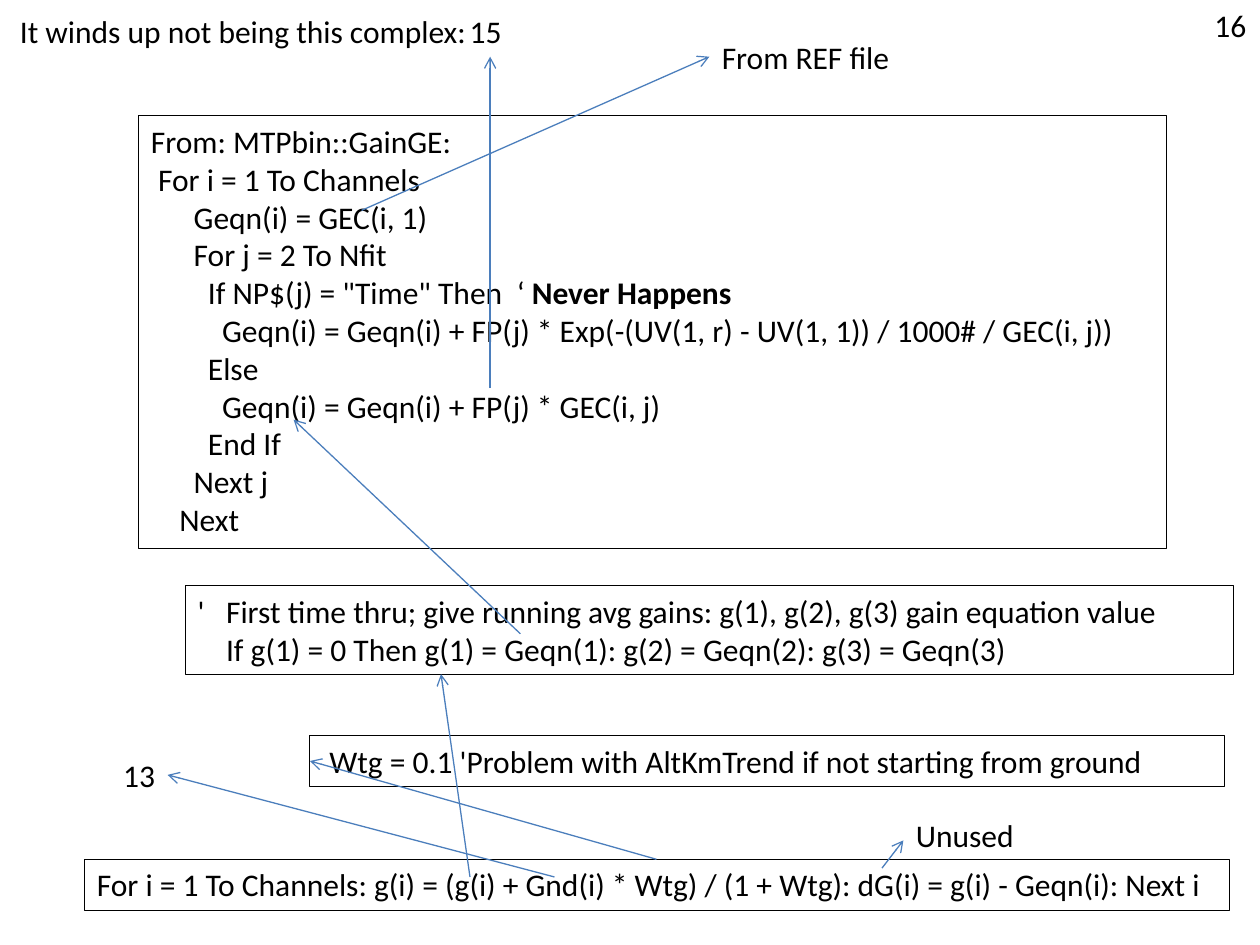
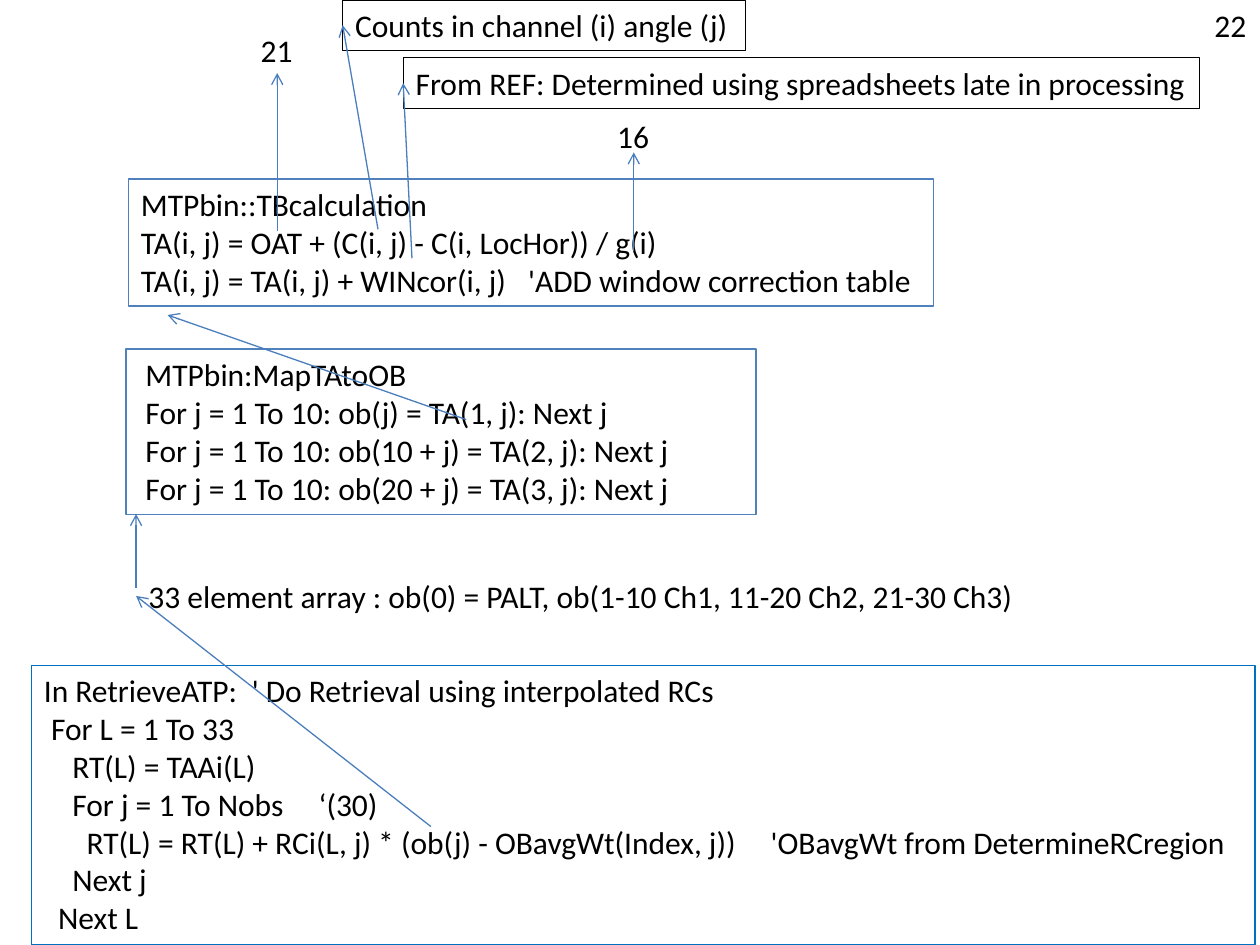
import pptx
import pptx.dml.color
import pptx.enum.shapes
import pptx.enum.text
import pptx.oxml
import pptx.oxml.ns
import pptx.util
import lxml.etree

FONT = "Calibri"
TEXT = "000000"
ARROW = "4B7EBC"
BLUE = "4F81BD"
BRIGHT = "0070C0"
BOLD_PIECES = {"Never Happens"}

presentation = pptx.Presentation()
presentation.slide_width = pptx.util.Inches(10)
presentation.slide_height = pptx.util.Inches(7.5)
COLUMN = presentation.slide_width / 10
ROW = presentation.slide_height / 7.5
LINE_ROWS = 0.303
PADDING_ROWS = 0.1
CHARACTER = 0.0565 * COLUMN


def color(value):
    return pptx.dml.color.RGBColor.from_string(value)


def child(parent, tag, **attributes):
    element = lxml.etree.SubElement(parent, pptx.oxml.ns.qn(tag))
    for name, value in attributes.items():
        element.set(name, str(value))
    return element


# Each line lists (start in characters, text) pieces.
gain_code = [
    [(0, "From: MTPbin::GainGE:")],
    [(1, "For i = 1 To Channels")],
    [(6, "Geqn(i) = GEC(i, 1)")],
    [(6, "For j = 2 To Nfit")],
    [(8, 'If NP$(j) = "Time" Then'), (51.4, "\u2018"), (53.5, "Never Happens")],
    [(10, "Geqn(i) = Geqn(i) + FP(j) * Exp(-(UV(1, r) - UV(1, 1)) / 1000# / GEC(i, j))")],
    [(8, "Else")],
    [(10, "Geqn(i) = Geqn(i) + FP(j) * GEC(i, j)")],
    [(8, "End If")],
    [(6, "Next j")],
    [(4, "Next")],
]
first_time_code = [
    [(0, "'"), (4, "First time thru; give running avg gains: g(1), g(2), g(3) gain equation value")],
    [(4, "If g(1) = 0 Then g(1) = Geqn(1): g(2) = Geqn(2): g(3) = Geqn(3)")],
]
weight_code = [[(1, "Wtg = 0.1 'Problem with AltKmTrend if not starting from ground")]]
update_code = [[(0, "For i = 1 To Channels: g(i) = (g(i) + Gnd(i) * Wtg) / (1 + Wtg): dG(i) = g(i) - Geqn(i): Next i")]]
calculation_code = [
    [(0, "MTPbin::TBcalculation")],
    [(0, "TA(i, j) = OAT + (C(i, j) - C(i, LocHor)) / g(i)")],
    [(0, "TA(i, j) = TA(i, j) + WINcor(i, j)"), (54.4, "'ADD window correction table")],
]
map_code = [
    [(1, "MTPbin:MapTAtoOB")],
    [(1, "For j = 1 To 10: ob(j) = TA(1, j): Next j")],
    [(1, "For j = 1 To 10: ob(10 + j) = TA(2, j): Next j")],
    [(1, "For j = 1 To 10: ob(20 + j) = TA(3, j): Next j")],
]
retrieval_code = [
    [(0, "In RetrieveATP:"), (29.2, "' Do Retrieval using interpolated RCs")],
    [(1, "For L = 1 To 33")],
    [(4, "RT(L) = TAAi(L)")],
    [(4, "For j = 1 To Nobs"), (38.6, "\u2018(30)")],
    [(6, "RT(L) = RT(L) + RCi(L, j) * (ob(j) - OBavgWt(Index, j))"), (102.1, "'OBavgWt from DetermineRCregion")],
    [(4, "Next j")],
    [(2, "Next L")],
]

slides = [
    {
        "page": "16",
        "boxes": [
            (1.1, 0.92, 8.16, TEXT, 0.5, gain_code),
            (1.47, 4.65, 8.32, TEXT, 0.5, first_time_code),
            (2.46, 5.84, 7.26, TEXT, 0.5, weight_code),
            (0.67, 6.82, 9.09, TEXT, 0.5, update_code),
        ],
        "labels": [
            (0.06, 0.05, 3.79, "It winds up not being this complex:"),
            (3.63, 0.05, 0.46, "15"),
            (5.63, 0.25, 1.55, "From REF file"),
            (0.88, 5.95, 0.46, "13"),
            (7.17, 6.43, 0.99, "Unused"),
        ],
        "arrows": [
            (5.21, 6.82, 2.46, 6.04),
            (3.73, 6.96, 3.5, 5.35),
            (7, 6.89, 7.17, 6.67),
            (4.4, 6.96, 1.33, 6.15),
            (4.13, 5.03, 2.33, 3.33),
            (3.89, 3.08, 3.89, 0.45),
            (2.87, 1.67, 5.63, 0.45),
        ],
    },
    {
        "page": "22",
        "boxes": [
            (2.72, 0, 3.2, TEXT, 0.5, [[(0, "Counts in channel (i) angle (j)")]]),
            (3.2, 0.46, 6.32, TEXT, 0.5,
             [[(0, "From REF: Determined using spreadsheets late in processing")]]),
            (1.02, 1.42, 6.39, BLUE, 0.75, calculation_code),
            (1, 2.77, 5, BLUE, 0.75, map_code),
            (0.25, 5.28, 9.71, BRIGHT, 0.75, retrieval_code),
        ],
        "labels": [
            (1.97, 0.2, 0.46, "21"),
            (4.8, 0.88, 0.46, "16"),
            (1.08, 4.53, 7.4, "33 element array : ob(0) = PALT, ob(1-10 Ch1, 11-20 Ch2, 21-30 Ch3)"),
        ],
        "arrows": [
            (3.42, 6.56, 1.08, 4.73),
            (1.08, 4.67, 1.08, 4.08),
            (2.2, 1.83, 2.2, 0.58),
            (3.7, 3.33, 1.33, 2.5),
            (3, 1.82, 2.72, 0.2),
            (3.27, 2.05, 3.2, 0.66),
            (5.03, 1.99, 5.03, 1.21),
        ],
    },
]

for content in slides:
    slide = presentation.slides.add_slide(presentation.slide_layouts[6])
    labels = content["labels"] + [(9.54, 0, 0.46, content["page"])]
    plain_boxes = [(left, top, width, None, 0, [[(0, text)]]) for left, top, width, text in labels]

    for left, top, width, outline, weight, lines in content["boxes"] + plain_boxes:
        height = PADDING_ROWS + LINE_ROWS * len(lines)
        shape = slide.shapes.add_textbox(
            int(left * COLUMN), int(top * ROW), int(width * COLUMN), int(height * ROW))
        if outline:
            shape.line.color.rgb = color(outline)
            shape.line.width = pptx.util.Pt(weight)
        frame = shape.text_frame
        frame.word_wrap = outline is not None and len(lines) > 1
        frame.auto_size = pptx.enum.text.MSO_AUTO_SIZE.SHAPE_TO_FIT_TEXT
        for index, pieces in enumerate(lines):
            paragraph = frame.add_paragraph() if index else frame.paragraphs[0]
            paragraph.font.name = FONT
            paragraph.font.size = pptx.util.Pt(18)
            paragraph.font.color.rgb = color(TEXT)
            properties = paragraph._p.get_or_add_pPr()
            stops = [start for start, text in pieces if start]
            if len(pieces) == 1:
                properties.set("marL", str(int(pieces[0][0] * CHARACTER)))
                properties.set("indent", "0")
            elif stops:
                tab_list = pptx.oxml.parse_xml(
                    "<a:tabLst %s/>" % pptx.oxml.ns.nsdecls("a"))
                properties.insert(0, tab_list)
                for start in stops:
                    child(tab_list, "a:tab", pos=int(start * CHARACTER), algn="l")
            for start, text in pieces:
                run = paragraph.add_run()
                run.text = "\t" + text if start and len(pieces) > 1 else text
                if text in BOLD_PIECES:
                    run.font.bold = True

    for start_x, start_y, end_x, end_y in content["arrows"]:
        connector = slide.shapes.add_connector(
            pptx.enum.shapes.MSO_CONNECTOR.STRAIGHT,
            int(start_x * COLUMN), int(start_y * ROW), int(end_x * COLUMN), int(end_y * ROW))
        connector.line.color.rgb = color(ARROW)
        connector.line.width = pptx.util.Pt(0.75)
        child(connector.line._get_or_add_ln(), "a:tailEnd", type="arrow")
        child(connector._element.spPr, "a:effectLst")

presentation.save("out.pptx")
